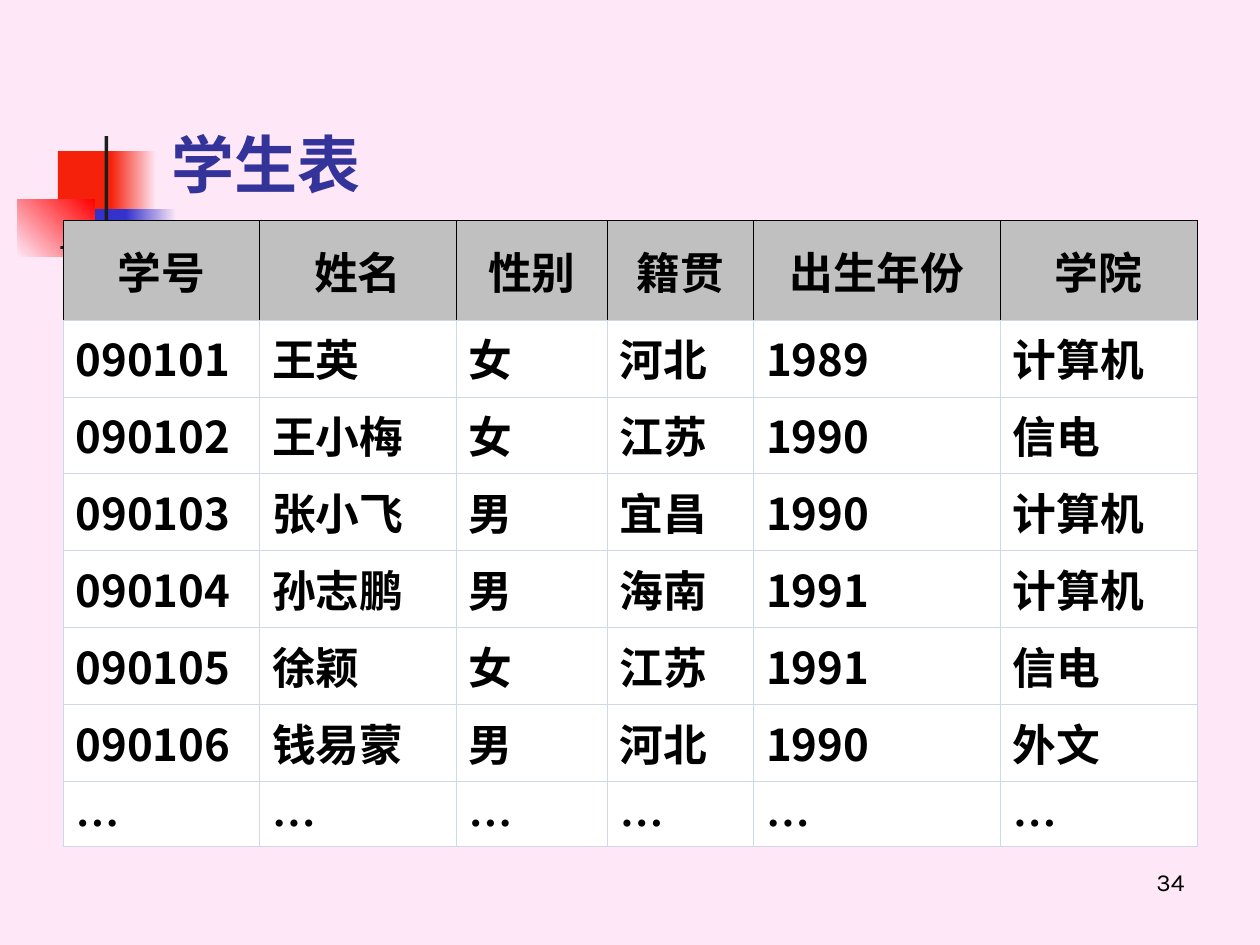
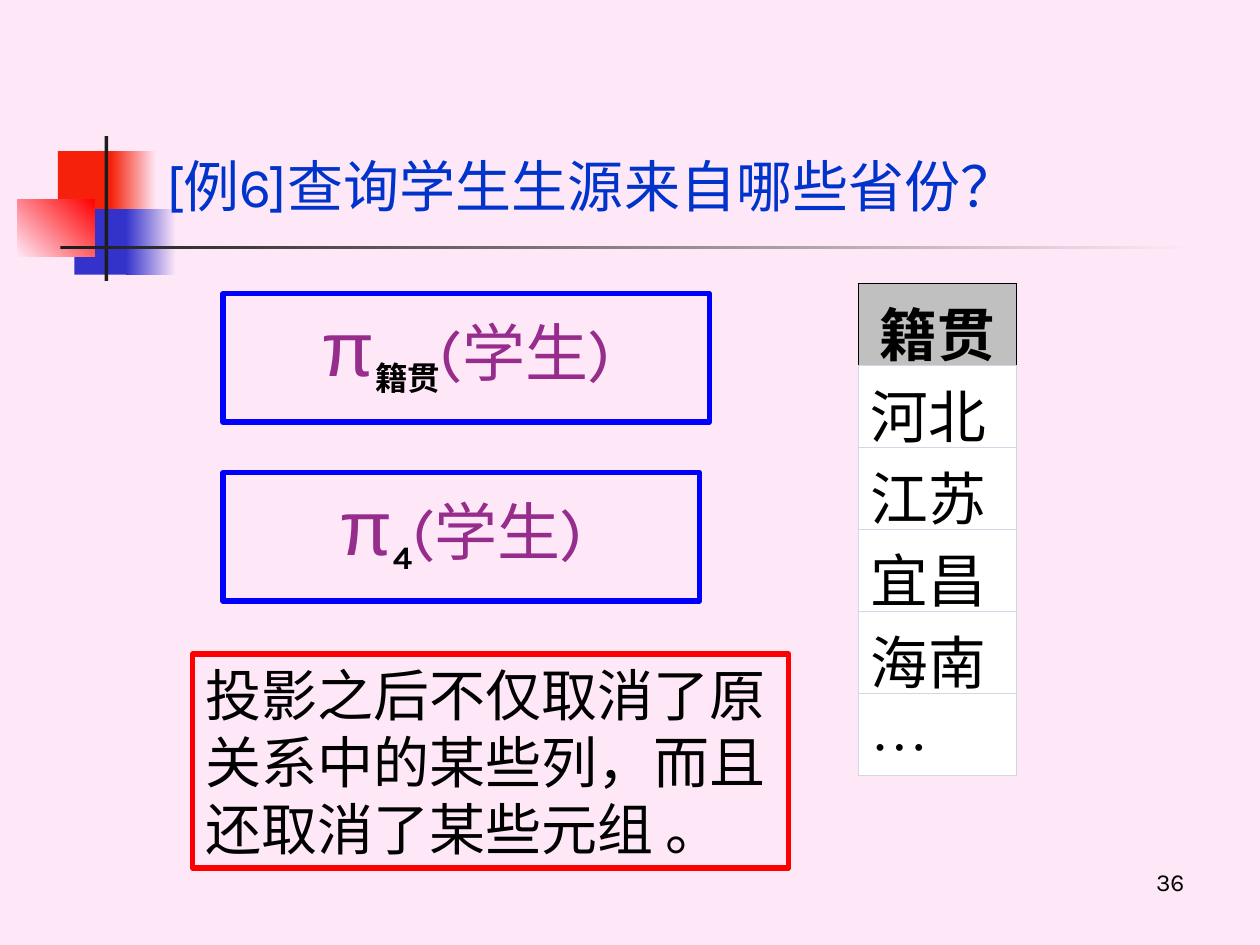
import pptx
import pptx.util
import pptx.dml.color
import pptx.enum.shapes
import pptx.enum.text
import pptx.oxml
import pptx.oxml.ns
from lxml import etree

Inches, Pt = pptx.util.Inches, pptx.util.Pt
RGB = pptx.dml.color.RGBColor
ALIGN, ANCHOR = pptx.enum.text.PP_ALIGN, pptx.enum.text.MSO_ANCHOR
RECT = pptx.enum.shapes.MSO_SHAPE.RECTANGLE
qn = pptx.oxml.ns.qn

# Colours and fonts
PINK = RGB(0xFE, 0xE8, 0xF7)
ORANGE_RED = RGB(0xF5, 0x21, 0x0B)
RED = RGB(0xFF, 0x00, 0x00)
INDIGO = RGB(0x33, 0x33, 0xCC)
NEAR_BLACK = RGB(0x1C, 0x1C, 0x1C)
BLACK = RGB(0x00, 0x00, 0x00)
WHITE = RGB(0xFF, 0xFF, 0xFF)
BLUE = RGB(0x00, 0x00, 0xFF)
NAVY = RGB(0x33, 0x33, 0x99)
QUESTION_BLUE = RGB(0x00, 0x33, 0xCC)
PURPLE = RGB(0x96, 0x2C, 0x8C)
HEADER_GREY = RGB(0xC0, 0xC0, 0xC0)
GRID = RGB(0xD0, 0xD7, 0xE5)
KARLA, ARIAL, TIMES, CJK = "Karla", "Arial", "Times New Roman", "Noto Sans CJK SC"

# Shared ornament: left, top, width, height, colours, gradient angle
ORNAMENT = [
    (0.46, 1.2, 0.48, 0.52, [ORANGE_RED], 0),
    (0.88, 1.2, 0.36, 0.52, [ORANGE_RED, PINK], 0),
    (0.59, 1.66, 0.46, 0.52, [INDIGO], 0),
    (1, 1.66, 0.4, 0.52, [INDIGO, PINK], 0),
    (0.14, 1.58, 0.61, 0.46, [PINK, RED], 45),
    (0.83, 1.08, 0.03, 1.15, [NEAR_BLACK], 0),
    (0.48, 1.95, 9, 0.03, [NEAR_BLACK, PINK], 0),
]

# Slide content
STUDENTS = [
    ["学号", "姓名", "性别", "籍贯", "出生年份", "学院"],
    ["090101", "王英", "女", "河北", "1989", "计算机"],
    ["090102", "王小梅", "女", "江苏", "1990", "信电"],
    ["090103", "张小飞", "男", "宜昌", "1990", "计算机"],
    ["090104", "孙志鹏", "男", "海南", "1991", "计算机"],
    ["090105", "徐颖", "女", "江苏", "1991", "信电"],
    ["090106", "钱易蒙", "男", "河北", "1990", "外文"],
    ["…"] * 6,
]
STUDENT_COLS = [1.56, 1.56, 1.2, 1.16, 1.96, 1.56]
STUDENT_ROWS = [0.79] + [0.61] * 6 + [0.52]
ORIGINS = [["籍贯"], ["河北"], ["江苏"], ["宜昌"], ["海南"], ["…"]]
PROJECTIONS = [("籍贯", (1.77, 2.33, 3.86, 1.02)), ("4", (1.77, 3.75, 3.78, 1.02))]
REMARK = "投影之后不仅取消了原关系中的某些列，而且还取消了某些元组 。"


def set_font(font, size, name, color, bold=False):
    font.size, font.name, font.bold = Pt(size), name, bold
    font.color.rgb = color
    etree.SubElement(font._rPr, qn("a:ea"), typeface=CJK)


def set_text(tf, text, size, name, color, bold=False, align=ALIGN.LEFT):
    p = tf.paragraphs[0]
    p.text, p.alignment = text, align
    set_font(p.font, size, name, color, bold)


def add_text(s, box, text, size, color, bold=False, align=ALIGN.LEFT, anchor=ANCHOR.TOP):
    tf = s.shapes.add_textbox(*map(Inches, box)).text_frame
    tf.word_wrap, tf.vertical_anchor = True, anchor
    set_text(tf, text, size, KARLA, color, bold, align)


def add_rect(s, box, line=None):
    sp = s.shapes.add_shape(RECT, *map(Inches, box))
    sp.shadow.inherit = False
    if line is None:
        sp.line.fill.background()
    else:
        sp.line.color.rgb, sp.line.width = line, Pt(3)
    return sp


def add_base(prs, number):
    """New slide with background, ornament and page number."""
    s = prs.slides.add_slide(prs.slide_layouts[6])
    s.background.fill.solid()
    s.background.fill.fore_color.rgb = PINK
    for *box, colors, angle in ORNAMENT:
        fill = add_rect(s, box).fill
        if len(colors) == 1:
            fill.solid()
            fill.fore_color.rgb = colors[0]
        else:
            fill.gradient()
            fill.gradient_angle = angle
            for stop, color in zip(fill.gradient_stops, colors):
                stop.color.rgb = color
    add_text(s, (7.17, 6.83, 2.33, 0.52), number, 14, BLACK, align=ALIGN.RIGHT)
    return s


def set_borders(cell, is_header):
    for side in "LRTB":
        color = BLACK if is_header and side != "B" else GRID
        cell._tc.get_or_add_tcPr().append(pptx.oxml.parse_xml(
            f'<a:ln{side} xmlns:a="http://schemas.openxmlformats.org/drawingml/2006/main" w="5715">'
            f'<a:solidFill><a:srgbClr val="{color}"/></a:solidFill></a:ln{side}>'))


def add_grid(s, left, top, data, cols, rows, size, body_font, body_bold):
    table = s.shapes.add_table(len(rows), len(cols), Inches(left), Inches(top),
                               Inches(sum(cols)), Inches(sum(rows))).table
    table.first_row = table.horz_banding = False
    for column, width in zip(table.columns, cols):
        column.width = Inches(width)
    for r, (height, values) in enumerate(zip(rows, data)):
        table.rows[r].height = Inches(height)
        is_header = r == 0
        for c, value in enumerate(values):
            cell = table.cell(r, c)
            set_borders(cell, is_header)
            cell.fill.solid()
            cell.fill.fore_color.rgb = HEADER_GREY if is_header else WHITE
            cell.vertical_anchor = ANCHOR.MIDDLE if is_header else ANCHOR.TOP
            set_text(cell.text_frame, value, size,
                     TIMES if is_header or value == "…" else body_font, BLACK,
                     is_header or body_bold, ALIGN.CENTER if is_header else ALIGN.LEFT)


def add_projection(s, subscript, box):
    """Framed formula: pi, subscript, relation."""
    sp = add_rect(s, box, BLUE)
    sp.fill.solid()
    sp.fill.fore_color.rgb = PINK
    tf = sp.text_frame
    tf.word_wrap, tf.vertical_anchor = True, ANCHOR.TOP
    p = tf.paragraphs[0]
    p.alignment = ALIGN.CENTER
    for text, size, name, color, is_sub in [
        ("π", 44, ARIAL, PURPLE, False),
        (subscript, 32, KARLA, BLACK, True),
        ("(学生)", 36, KARLA, PURPLE, False),
    ]:
        r = p.add_run()
        r.text = text
        set_font(r.font, size, name, color, is_sub)
        if is_sub:
            r.font._rPr.set("baseline", "-25000")


def build_student_slide(prs):
    s = add_base(prs, "34")
    add_text(s, (1.26, 0.67, 8.52, 1.25), "学生表", 36, NAVY, True, anchor=ANCHOR.MIDDLE)
    add_grid(s, 0.5, 1.75, STUDENTS, STUDENT_COLS, STUDENT_ROWS, 25, CJK, True)


def build_projection_slide(prs):
    s = add_base(prs, "36")
    add_text(s, (1.22, 1.15, 8.58, 0.83), "[例6]查询学生生源来自哪些省份？", 32, QUESTION_BLUE)
    for subscript, box in PROJECTIONS:
        add_projection(s, subscript, box)
    add_grid(s, 6.81, 2.25, ORIGINS, [1.26], [0.65] * 6, 33, TIMES, False)

    # Remark in a red frame
    sp = add_rect(s, (1.53, 5.19, 4.73, 1.7), RED)
    sp.fill.background()
    tf = sp.text_frame
    tf.word_wrap, tf.vertical_anchor = True, ANCHOR.MIDDLE
    tf.auto_size = pptx.enum.text.MSO_AUTO_SIZE.SHAPE_TO_FIT_TEXT
    set_text(tf, REMARK, 32, CJK, BLACK)


def main():
    prs = pptx.Presentation()
    prs.slide_width, prs.slide_height = Inches(10), Inches(7.5)
    build_student_slide(prs)
    build_projection_slide(prs)
    prs.save("out.pptx")


if __name__ == "__main__":
    main()
